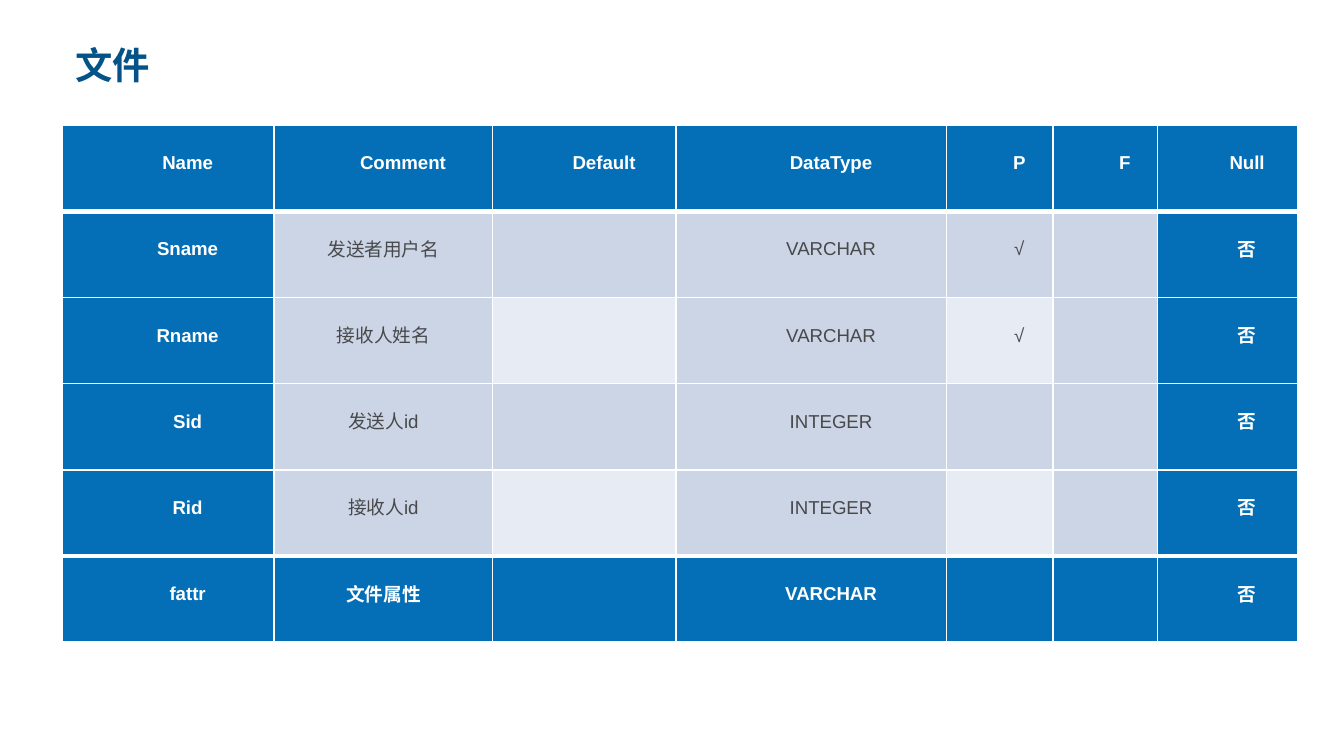
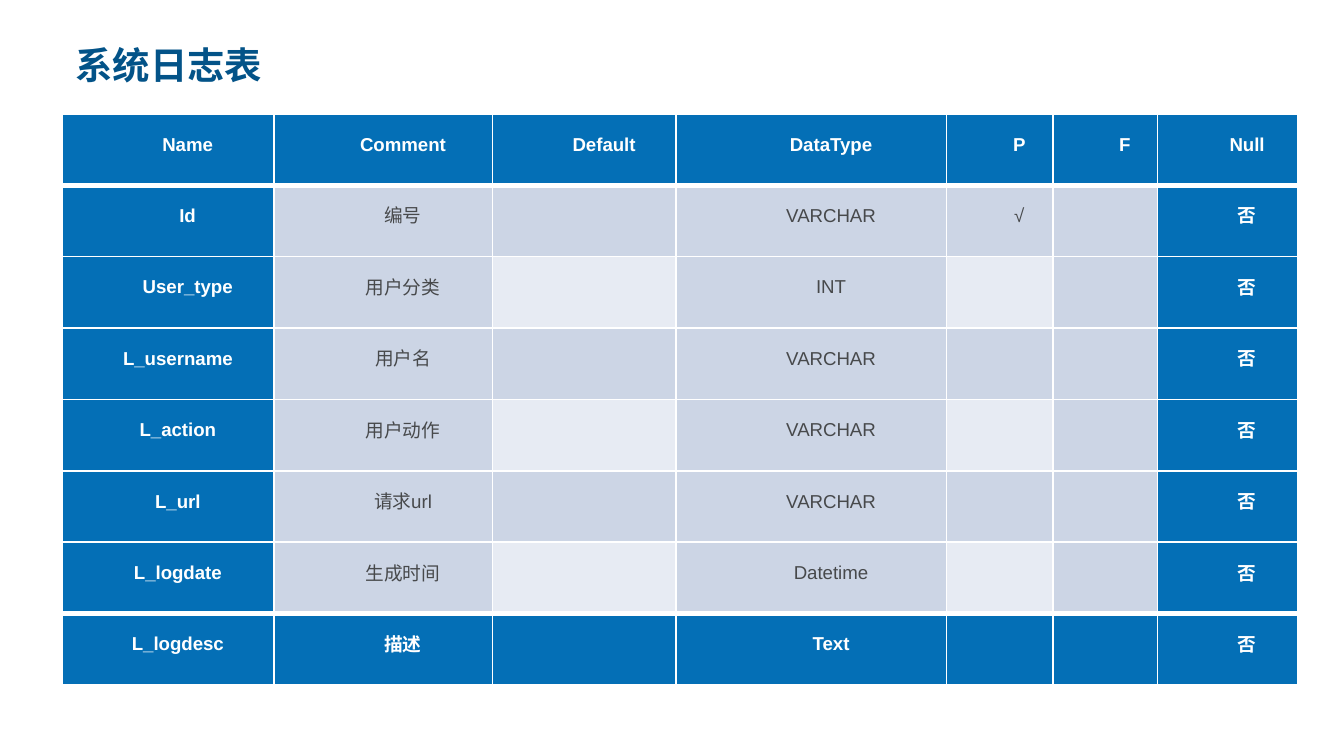
from lxml.etree import SubElement
from pptx import Presentation
from pptx.dml.color import RGBColor
from pptx.enum.text import MSO_ANCHOR, MSO_AUTO_SIZE, PP_ALIGN
from pptx.oxml.ns import qn
from pptx.util import Cm, Pt

NAVY = RGBColor(0x03, 0x53, 0x88)
BLUE = RGBColor(0x04, 0x6F, 0xB6)
BAND = RGBColor(0xCC, 0xD5, 0xE5)
PALE = RGBColor(0xE7, 0xEB, 0xF3)
GREY = RGBColor(0x47, 0x49, 0x4B)
WHITE = RGBColor(0xFF, 0xFF, 0xFF)

LEFT = Cm(1.17)
COL_WIDTHS = [Cm(w) for w in (4.01, 4.13, 3.47, 5.11, 2.01, 1.98, 2.64)]
HEADER = ("Name", "Comment", "Default", "DataType", "P", "F", "Null")
BANDED_COLS = (2, 4)
INDENT = Cm(0.74)
SMALL_INDENT = Cm(0.37)

FILE_FIELDS = [
    ("Sname", "发送者用户名", "VARCHAR", "√"),
    ("Rname", "接收人姓名", "VARCHAR", "√"),
    ("Sid", "发送人id", "INTEGER", ""),
    ("Rid", "接收人id", "INTEGER", ""),
    ("fattr", "文件属性", "VARCHAR", ""),
]
LOG_FIELDS = [
    ("Id", "编号", "VARCHAR", "√"),
    ("User_type", "用户分类", "INT", ""),
    ("L_username", "用户名", "VARCHAR", ""),
    ("L_action", "用户动作", "VARCHAR", ""),
    ("L_url", "请求url", "VARCHAR", ""),
    ("L_logdate", "生成时间", "Datetime", ""),
    ("L_logdesc", "描述", "Text", ""),
]


class Deck:
    def __init__(self):
        self.prs = Presentation()
        self.prs.slide_width, self.prs.slide_height = Cm(25.4), Cm(14.29)
        self.s = None

    def slide(self, title):
        self.s = self.prs.slides.add_slide(self.prs.slide_layouts[5])
        sp = self.s.shapes.title
        sp.left, sp.top, sp.width, sp.height = LEFT, Cm(0.33), Cm(23.04), Cm(1.45)
        tf = sp.text_frame
        tf.text = title
        tf.auto_size = MSO_AUTO_SIZE.NONE
        tf.vertical_anchor = MSO_ANCHOR.BOTTOM
        p = tf.paragraphs[0]
        p.alignment = PP_ALIGN.LEFT
        p.line_spacing = 0.9
        self.font(p, "Montserrat", 20, NAVY, True)

    def font(self, p, name, size, color, bold):
        p.font.name, p.font.size, p.font.bold = name, Pt(size), bold
        p.font.color.rgb = color

    def borders(self, cell, top, bottom):
        tcPr = cell._tc.get_or_add_tcPr()
        for side, width in (("L", 1), ("R", 1), ("T", top), ("B", bottom)):
            ln = SubElement(tcPr, qn(f"a:ln{side}"), w=str(Pt(width)))
            fill = SubElement(ln, qn("a:solidFill"))
            SubElement(fill, qn("a:srgbClr"), val=str(WHITE))

    def cell_text(self, cell, text, indent, strong):
        cell.text = text
        cell.vertical_anchor = MSO_ANCHOR.MIDDLE
        cell.margin_left = cell.margin_right = Cm(0.18)
        cell.margin_top = cell.margin_bottom = 0
        p = cell.text_frame.paragraphs[0]
        p.alignment = PP_ALIGN.CENTER
        p.line_spacing = 0.25
        p._p.get_or_add_pPr().set("indent", str(indent))
        self.font(p, "Arial", 10, WHITE if strong else GREY, strong)

    def field_table(self, top, row_height, fields, special, special_indent):
        rows = [HEADER] + [(name, comment, "", kind, key, "", "否")
                           for name, comment, kind, key in fields]
        last_row, last_col = len(rows) - 1, len(HEADER) - 1
        table = self.s.shapes.add_table(
            len(rows), len(HEADER), LEFT, top,
            sum(COL_WIDTHS), row_height * len(rows)).table
        table.first_row = table.horz_banding = False
        for column, width in zip(table.columns, COL_WIDTHS):
            column.width = width
        for i, row in enumerate(rows):
            table.rows[i].height = row_height
            for j, text in enumerate(row):
                cell = table.cell(i, j)
                strong = i in (0, last_row) or j in (0, last_col)
                self.borders(cell, 3 if i in (1, last_row) else 1,
                             3 if i in (0, last_row - 1) else 1)
                cell.fill.solid()
                band = PALE if j in BANDED_COLS and i % 2 == 0 else BAND
                cell.fill.fore_color.rgb = BLUE if strong else band
                if text:
                    indent = special_indent if text in special else INDENT
                    self.cell_text(cell, text, indent, strong)


def main():
    deck = Deck()

    deck.slide("文件")
    comments = {field[1] for field in FILE_FIELDS}
    deck.field_table(Cm(2.36), Cm(1.63), FILE_FIELDS, comments, 0)

    deck.slide("系统日志表")
    log_names = {field[0] for field in LOG_FIELDS if field[0].startswith("L_")}
    deck.field_table(Cm(2.15), Cm(1.35), LOG_FIELDS, log_names, SMALL_INDENT)

    deck.prs.save("out.pptx")


if __name__ == "__main__":
    main()
